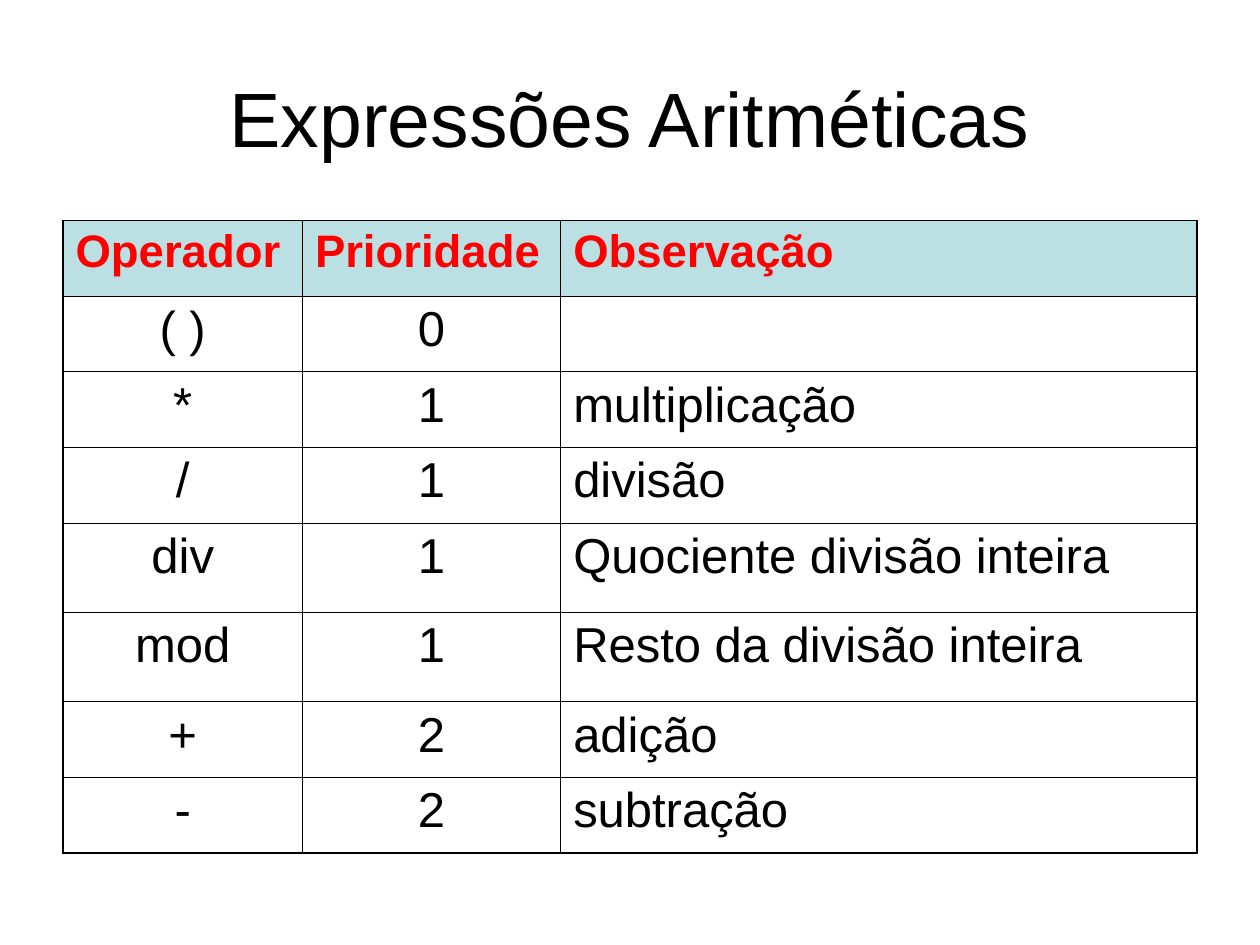
from lxml.etree import SubElement
from pptx import Presentation
from pptx.dml.color import RGBColor
from pptx.enum.text import MSO_ANCHOR, PP_ALIGN
from pptx.oxml.ns import qn
from pptx.util import Inches, Pt


def color(code):
    return RGBColor.from_string(code)


def write(frame, text, size, tint="000000", bold=False, align=PP_ALIGN.LEFT, before=0):
    para = frame.paragraphs[0]
    para.alignment = align
    para.space_before = Pt(before)
    run = para.add_run()
    run.text = text
    run.font.name = "Arial"
    run.font.size = Pt(size)
    run.font.bold = bold
    run.font.color.rgb = color(tint)


deck = Presentation()
deck.slide_width, deck.slide_height = Inches(10), Inches(7.5)
slide = deck.slides.add_slide(deck.slide_layouts[5])

title = slide.shapes.title
title.left, title.top = Inches(0.5), Inches(0.3)
title.width, title.height = Inches(9), Inches(1.25)
title.text_frame.vertical_anchor = MSO_ANCHOR.MIDDLE
write(title.text_frame, "Expressões Aritméticas", 44, align=PP_ALIGN.CENTER)

rows = [
    ("Operador", "Prioridade", "Observação"),
    ("( )", "0", ""),
    ("*", "1", "multiplicação"),
    ("/", "1", "divisão"),
    ("div", "1", "Quociente divisão inteira"),
    ("mod", "1", "Resto da divisão inteira"),
    ("+", "2", "adição"),
    ("-", "2", "subtração"),
]
widths = [1.9, 2.05, 5.05]
heights = [0.6] * 4 + [0.71] * 2 + [0.6] * 2
thin, thick = Pt(0.45), Pt(1.08)

table = slide.shapes.add_table(
    len(rows), len(widths), Inches(0.5), Inches(1.75),
    Inches(sum(widths)), Inches(sum(heights))).table
for col, width in zip(table.columns, widths):
    col.width = Inches(width)
for row, height in zip(table.rows, heights):
    row.height = Inches(height)

for r, texts in enumerate(rows):
    for c, text in enumerate(texts):
        cell = table.cell(r, c)

        # Outer edges are thick, inner ones thin
        outer = {"L": c == 0, "R": c == len(widths) - 1,
                 "T": r == 0, "B": r == len(rows) - 1}
        props = cell._tc.get_or_add_tcPr()
        for side, edge in outer.items():
            line = SubElement(props, qn(f"a:ln{side}"), w=str(thick if edge else thin))
            SubElement(SubElement(line, qn("a:solidFill")), qn("a:srgbClr"), val="000000")

        if r == 0:
            cell.fill.solid()
            cell.fill.fore_color.rgb = color("BBE0E3")
            write(cell.text_frame, text, 26, tint="FF0000", bold=True, before=6.5)
        else:
            cell.fill.background()
            if text:
                align = PP_ALIGN.CENTER if c < 2 else PP_ALIGN.LEFT
                write(cell.text_frame, text, 28, align=align, before=7)

deck.save("out.pptx")
